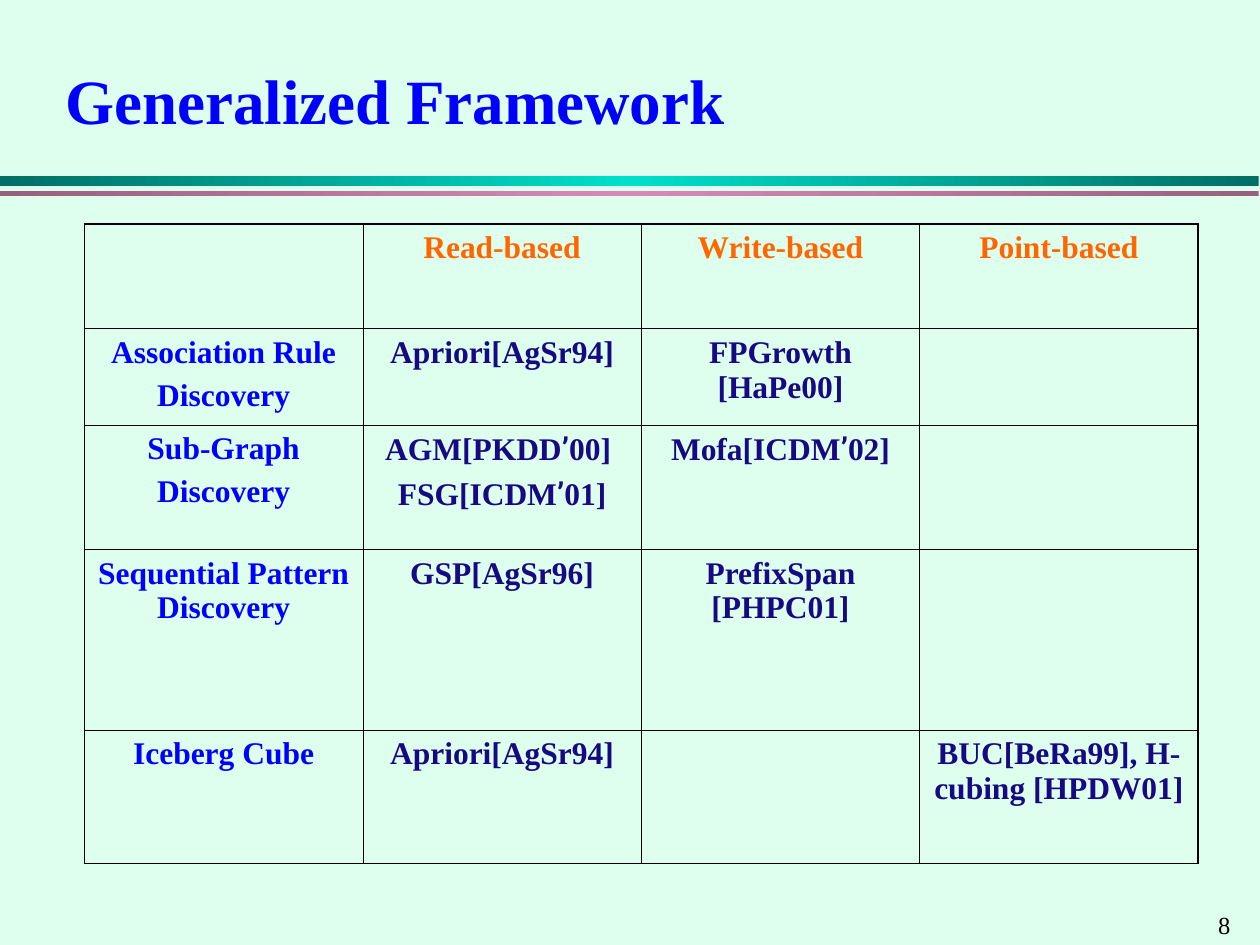
"""Build the Generalized Framework slide with its table of discovery methods."""
import copy
import dataclasses

import lxml.etree
import pptx
import pptx.dml.color
import pptx.enum.text
import pptx.oxml.ns
import pptx.util

Inches = pptx.util.Inches
Pt = pptx.util.Pt
RGB = pptx.dml.color.RGBColor.from_string
qn = pptx.oxml.ns.qn
ALIGN = pptx.enum.text.PP_ALIGN


@dataclasses.dataclass(frozen=True)
class Theme:
    background: str = "DEFEEE"
    title: str = "0000FF"
    column_heading: str = "FF6600"
    method: str = "170981"
    ink: str = "000000"
    font: str = "Times New Roman"
    apostrophe_font: str = "Roboto"
    title_size: float = 36
    table_size: float = 18
    number_size: float = 14
    paragraph_gap: float = 4.5
    inner_border: float = 0.45
    outer_border: float = 1.08


@dataclasses.dataclass(frozen=True)
class Band:
    top: float
    height: float
    edge: str
    middle: str


THEME = Theme()
BANDS = (
    Band(1.4, 0.08, "006F65", "00DFCA"),
    Band(1.52, 0.04, "976080", "D989B8"),
)
COLUMN_WIDTH = 2.21
ROW_HEIGHTS = (0.83, 0.76, 0.99, 1.43, 1.06)
FRAMEWORK = (
    ("", "Read-based", "Write-based", "Point-based"),
    ("Association Rule\nDiscovery", "Apriori[AgSr94]", "FPGrowth [HaPe00]", ""),
    ("Sub-Graph\nDiscovery", "AGM[PKDD’00] \nFSG[ICDM’01]", "Mofa[ICDM’02]", ""),
    ("Sequential Pattern Discovery", "GSP[AgSr96]", "PrefixSpan [PHPC01]", ""),
    ("Iceberg Cube", "Apriori[AgSr94]", "", "BUC[BeRa99], H-cubing [HPDW01]"),
)


def style_paragraph(paragraph, size: float, color: str, bold: bool, align) -> None:
    paragraph.alignment = align
    font = paragraph.font
    font.name = THEME.font
    font.size = Pt(size)
    font.bold = bold
    font.color.rgb = RGB(color)


def draw_band(slide, band: Band) -> None:
    stripe = slide.shapes.add_shape(
        pptx.enum.shapes.MSO_SHAPE.RECTANGLE,
        Inches(0), Inches(band.top), Inches(9.99), Inches(band.height),
    )
    stripe.shadow.inherit = False
    stripe.line.fill.background()
    stripe.fill.gradient()
    stripe.fill.gradient_angle = 0
    left_stop, middle_stop = stripe.fill.gradient_stops
    left_stop.color.rgb = RGB(band.edge)
    middle_stop.color.rgb = RGB(band.middle)
    middle_stop.position = 0.5
    stops = next(stripe.element.iter(qn("a:gsLst")))
    right_stop = copy.deepcopy(stops[0])
    right_stop.set("pos", "100000")
    stops.append(right_stop)


def write_title(slide, text: str) -> None:
    title = slide.shapes.title
    title.left, title.top = Inches(0.42), Inches(0.42)
    title.width, title.height = Inches(9.17), Inches(0.73)
    frame = title.text_frame
    frame.text = text
    frame.auto_size = pptx.enum.text.MSO_AUTO_SIZE.NONE
    frame.vertical_anchor = pptx.enum.text.MSO_ANCHOR.MIDDLE
    style_paragraph(frame.paragraphs[0], THEME.title_size, THEME.title, True, ALIGN.LEFT)


def write_page_number(slide, number: str) -> None:
    frame = slide.shapes.add_textbox(
        Inches(9.57), Inches(7.17), Inches(0.43), Inches(0.34)
    ).text_frame
    frame.word_wrap = True
    frame.text = number
    style_paragraph(frame.paragraphs[0], THEME.number_size, THEME.ink, False, ALIGN.LEFT)


def write_cell(cell, text: str, color: str) -> None:
    frame = cell.text_frame
    for index, line in enumerate(text.split("\n")):
        paragraph = frame.add_paragraph() if index else frame.paragraphs[0]
        style_paragraph(paragraph, THEME.table_size, color, True, ALIGN.CENTER)
        if index:
            paragraph.space_before = Pt(THEME.paragraph_gap)
        before, apostrophe, after = line.partition("’")
        for part in filter(None, (before, apostrophe, after)):
            run = paragraph.add_run()
            run.text = part
            if part == apostrophe:
                run.font.name = THEME.apostrophe_font


def draw_borders(cell, outer_sides: dict[str, bool]) -> None:
    properties = cell._tc.get_or_add_tcPr()
    for index, (side, is_outer) in enumerate(outer_sides.items()):
        width = THEME.outer_border if is_outer else THEME.inner_border
        border = lxml.etree.Element(qn(f"a:ln{side}"), w=str(int(Pt(width))))
        fill = lxml.etree.SubElement(border, qn("a:solidFill"))
        lxml.etree.SubElement(fill, qn("a:srgbClr"), val=THEME.ink)
        properties.insert(index, border)


def draw_framework(slide) -> None:
    last_row, last_column = len(FRAMEWORK) - 1, len(FRAMEWORK[0]) - 1
    table = slide.shapes.add_table(
        last_row + 1, last_column + 1, Inches(0.67), Inches(1.78),
        Inches(COLUMN_WIDTH * (last_column + 1)), Inches(sum(ROW_HEIGHTS)),
    ).table
    table.first_row = table.horz_banding = False
    for column in table.columns:
        column.width = Inches(COLUMN_WIDTH)
    for r, (height, texts) in enumerate(zip(ROW_HEIGHTS, FRAMEWORK)):
        table.rows[r].height = Inches(height)
        for c, text in enumerate(texts):
            cell = table.cell(r, c)
            cell.fill.background()
            if r == 0:
                color = THEME.column_heading
            else:
                color = THEME.method if c else THEME.title
            write_cell(cell, text, color)
            draw_borders(
                cell,
                {"L": c == 0, "R": c == last_column, "T": r == 0, "B": r == last_row},
            )


def main() -> None:
    deck = pptx.Presentation()
    deck.slide_width, deck.slide_height = Inches(10), Inches(7.5)
    slide = deck.slides.add_slide(deck.slide_layouts.get_by_name("Title Only"))
    slide.background.fill.solid()
    slide.background.fill.fore_color.rgb = RGB(THEME.background)
    for band in BANDS:
        draw_band(slide, band)
    write_page_number(slide, "8")
    write_title(slide, "Generalized Framework")
    draw_framework(slide)
    deck.save("out.pptx")


if __name__ == "__main__":
    main()
